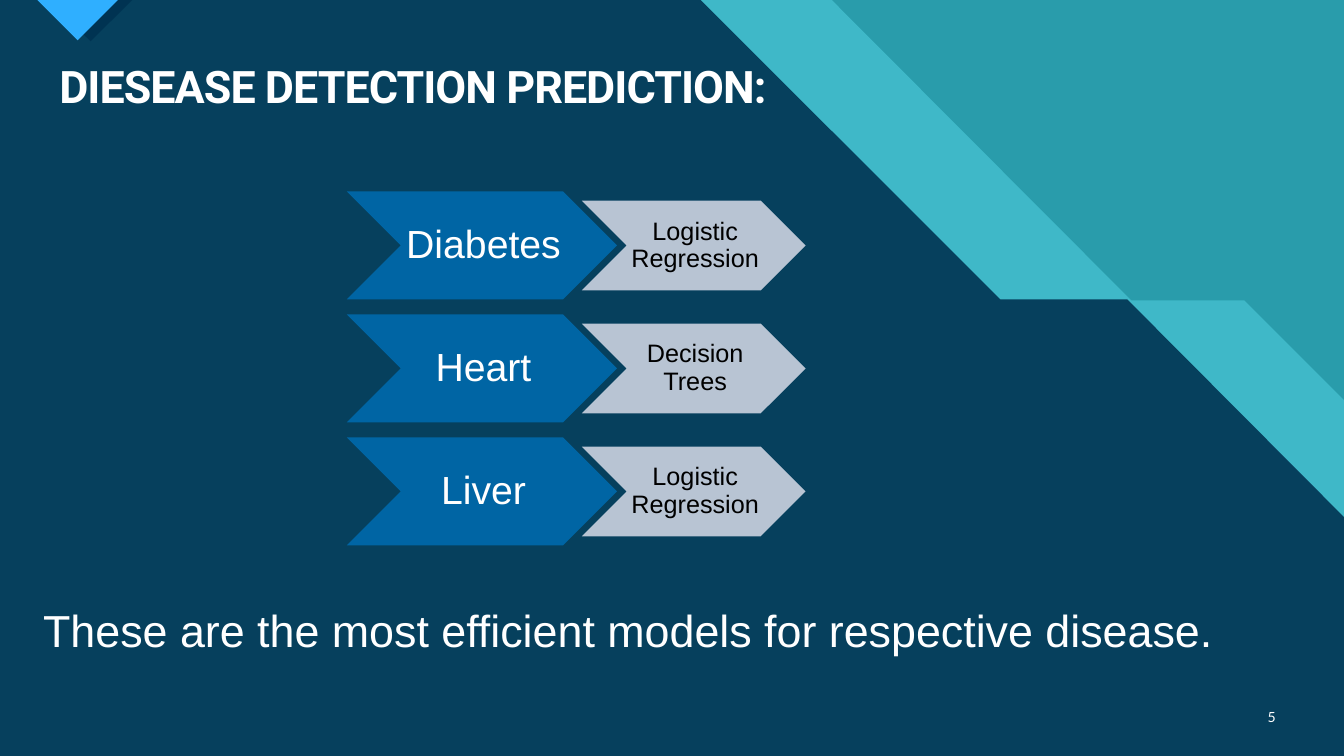
import pptx
import pptx.dml.color
import pptx.enum.shapes
import pptx.enum.text
import pptx.oxml
import pptx.oxml.ns
import pptx.util

Inches = pptx.util.Inches
Align = pptx.enum.text.PP_ALIGN
Anchor = pptx.enum.text.MSO_ANCHOR

TITLE = "DIESEASE DETECTION PREDICTION:"
MODELS = [
    ("Diabetes", "Logistic Regression"),
    ("Heart", "Decision Trees"),
    ("Liver", "Logistic Regression"),
]
SUMMARY = "These are the most efficient models for respective disease."
PAGE_NUMBER = "5"

COLORS = {
    "teal": "299CAB", "aqua": "47C3D3", "navy": "003352", "sky": "2FAFFF",
    "blue": "0065A4", "grey": "CCD3E0", "white": "FFFFFF", "black": "000000",
}

# Outline points in inches, fill colour, opacity in percent
BACKDROP = [
    ([(0, 0), (8.25, 0), (11.22, 2.98), (12.34, 2.98), (13.33, 3.97),
      (13.33, 7.5), (0, 7.5)], "aqua", 74),
    ([(0, 0), (6.95, 0), (9.92, 2.97), (11.18, 2.97), (13.33, 5.13),
      (13.33, 7.5), (0, 7.5)], "navy", 90),
    ([(0.48, 0), (1.31, 0), (0.9, 0.41)], "navy", 100),
    ([(0.37, 0), (1.17, 0), (0.77, 0.4)], "sky", 100),
]

ROW_TOP, ROW_STEP = 1.9, 1.22
DISEASE = {"left": 3.44, "width": 2.68, "height": 1.07}
MODEL = {"left": 5.77, "width": 2.22, "height": 0.89}


def rgb(color):
    return pptx.dml.color.RGBColor.from_string(COLORS[color])


def paint(shape, color, opacity=100):
    shape.shadow.inherit = False
    shape.line.fill.background()
    shape.fill.solid()
    shape.fill.fore_color.rgb = rgb(color)
    if opacity < 100:
        tint = shape.fill._xPr.find(".//" + pptx.oxml.ns.qn("a:srgbClr"))
        alpha = pptx.oxml.parse_xml(
            f'<a:alpha {pptx.oxml.ns.nsdecls("a")} val="{opacity * 1000}"/>')
        tint.append(alpha)


def write(shape, text, size, font="Arial", color="white", align=Align.LEFT,
          anchor=Anchor.TOP, spacing=1.0):
    frame = shape.text_frame
    frame.word_wrap = True
    frame.vertical_anchor = anchor
    para = frame.paragraphs[0]
    para.alignment = align
    para.line_spacing = spacing
    span = para.add_run()
    span.text = text
    span.font.size = pptx.util.Pt(size)
    span.font.name = font
    span.font.color.rgb = rgb(color)
    return span


def add_text(page, left, top, width, height, *content, **style):
    box = page.shapes.add_textbox(
        Inches(left), Inches(top), Inches(width), Inches(height))
    return write(box, *content, **style)


def add_outline(page, points, color, opacity):
    corners = [(Inches(x), Inches(y)) for x, y in points]
    builder = page.shapes.build_freeform(*corners[0])
    builder.add_line_segments(corners[1:], close=True)
    paint(builder.convert_to_shape(), color, opacity)


def add_chevron(page, place, middle, text, size, fill, opacity, color):
    """Draw a labelled chevron centred vertically on middle."""
    chevron = page.shapes.add_shape(
        pptx.enum.shapes.MSO_SHAPE.CHEVRON, Inches(place["left"]),
        Inches(middle - place["height"] / 2),
        Inches(place["width"]), Inches(place["height"]))
    paint(chevron, fill, opacity)
    frame = chevron.text_frame
    frame.margin_left = Inches(0.03)
    frame.margin_right = 0
    frame.margin_top = frame.margin_bottom = Inches(0.01)
    write(chevron, text, size, color=color, align=Align.CENTER,
          anchor=Anchor.MIDDLE, spacing=0.9)


def main():
    deck = pptx.Presentation()
    deck.slide_width, deck.slide_height = Inches(13.33), Inches(7.5)
    page = deck.slides.add_slide(deck.slide_layouts[6])
    page.background.fill.solid()
    page.background.fill.fore_color.rgb = rgb("teal")

    for points, color, opacity in BACKDROP:
        add_outline(page, points, color, opacity)

    title = add_text(page, 0.49, 0.59, 12.26, 0.59, TITLE, 32,
                     font="Roboto", spacing=0.9)
    title.font.bold = True
    title.font._element.set("spc", "-70")

    for row, (disease, model) in enumerate(MODELS):
        middle = ROW_TOP + row * ROW_STEP + DISEASE["height"] / 2
        add_chevron(page, DISEASE, middle, disease, 28, "blue", 100, "white")
        add_chevron(page, MODEL, middle, model, 18, "grey", 90, "black")

    add_text(page, 0.33, 5.93, 11.97, 0.64, SUMMARY, 32)
    add_text(page, 12.31, 6.91, 0.44, 0.4, PAGE_NUMBER, 10, font="Lato",
             align=Align.RIGHT, anchor=Anchor.MIDDLE)
    deck.save("out.pptx")


if __name__ == "__main__":
    main()
